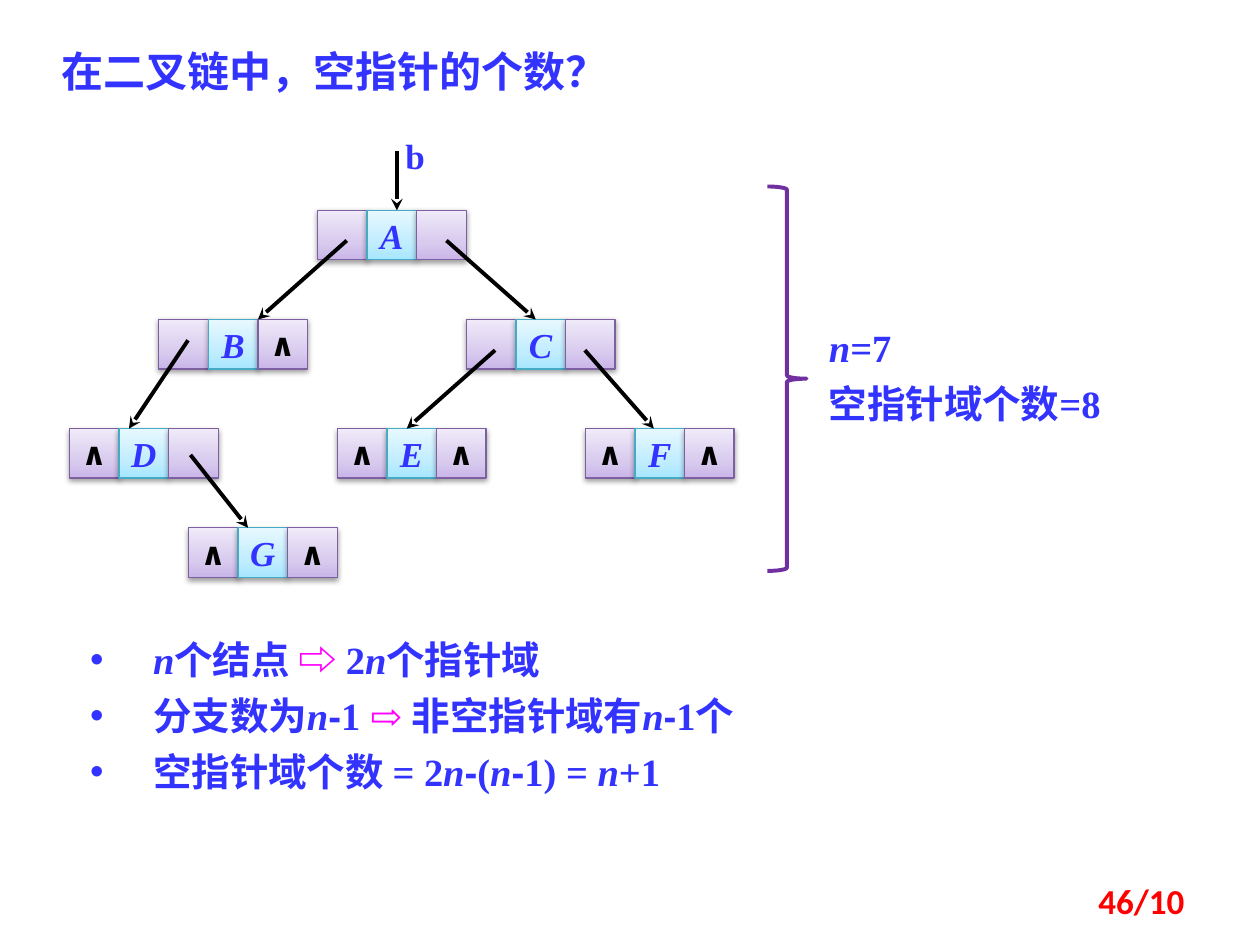
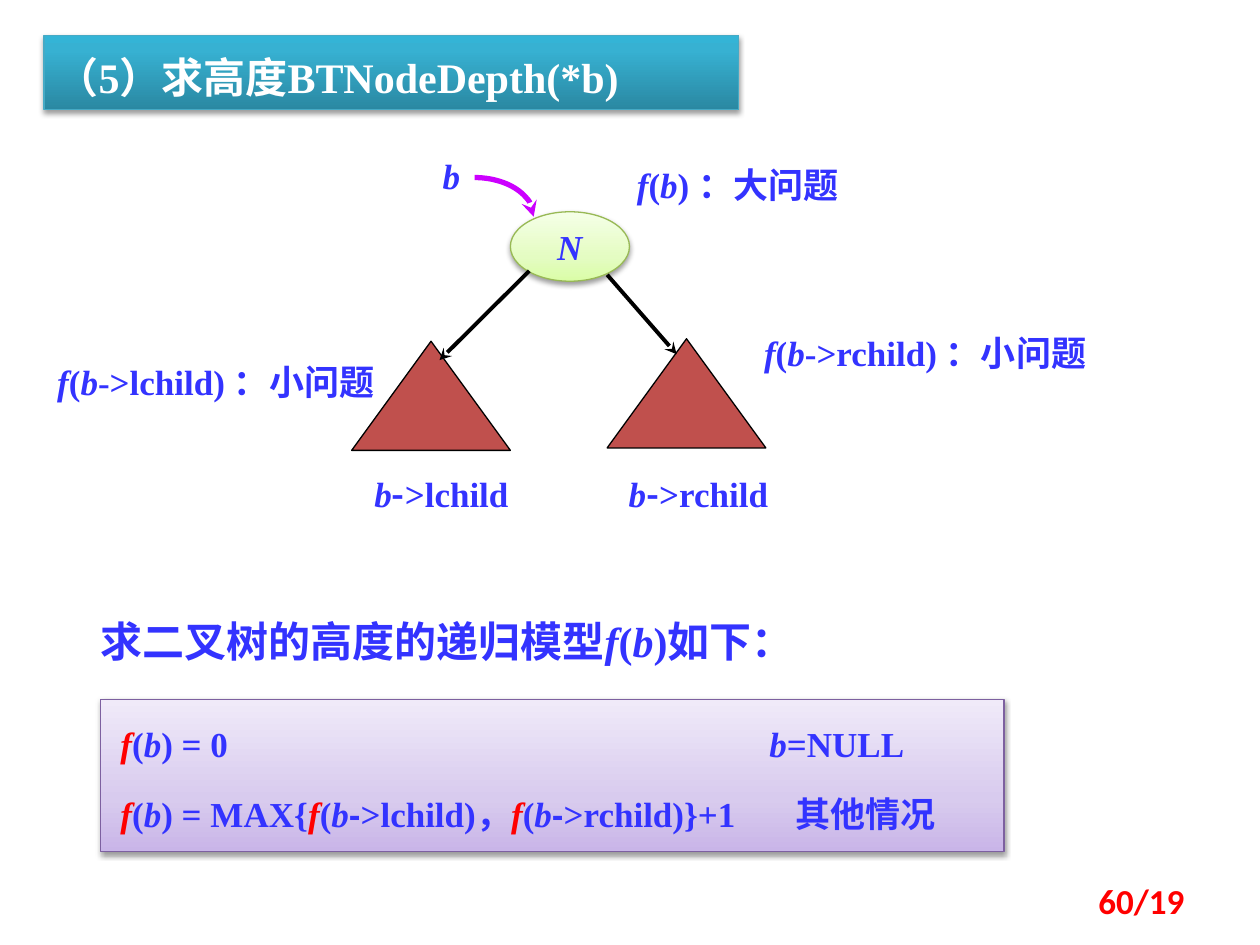
from lxml.etree import SubElement
from copy import deepcopy
from pptx import Presentation
from pptx.dml.color import RGBColor
from pptx.enum.shapes import MSO_CONNECTOR, MSO_SHAPE
from pptx.enum.text import MSO_ANCHOR, PP_ALIGN
from pptx.oxml.ns import qn
from pptx.util import Cm, Pt

RECT, OVAL, ARC = MSO_SHAPE.RECTANGLE, MSO_SHAPE.OVAL, MSO_SHAPE.ARC
BRACE, CONE = MSO_SHAPE.RIGHT_BRACE, MSO_SHAPE.ISOSCELES_TRIANGLE
LINE = MSO_CONNECTOR.STRAIGHT
LEFT, MID, RIGHT = PP_ALIGN.LEFT, PP_ALIGN.CENTER, PP_ALIGN.RIGHT
TOP, HALF = MSO_ANCHOR.TOP, MSO_ANCHOR.MIDDLE

BLUE = RGBColor(0x33, 0x33, 0xFF)
RED = RGBColor(0xFF, 0x00, 0x00)
PINK = RGBColor(0xFF, 0x00, 0xFF)
VIOLET = RGBColor(0xCC, 0x00, 0xFF)
PURPLE = RGBColor(0x70, 0x30, 0xA0)
BRICK = RGBColor(0xC0, 0x50, 0x4D)
BLACK = RGBColor(0x00, 0x00, 0x00)
WHITE = RGBColor(0xFF, 0xFF, 0xFF)

# Each look: line colour, then gradient stops from bottom to top
LILAC = (RGBColor(0x7D, 0x60, 0xA0),
         ((0, RGBColor(0xC9, 0xB5, 0xE8)), (0.35, RGBColor(0xD8, 0xCB, 0xEE)),
          (1, RGBColor(0xF0, 0xEA, 0xF9))))
SKY = (RGBColor(0x46, 0xAA, 0xC5),
       ((0, RGBColor(0xA7, 0xE6, 0xFF)), (0.35, RGBColor(0xC1, 0xED, 0xFF)),
        (1, RGBColor(0xE7, 0xF8, 0xFF))))
TEAL = (RGBColor(0x46, 0xAA, 0xC5),
        ((0, RGBColor(0x2A, 0x88, 0xA2)), (0.8, RGBColor(0x37, 0xB1, 0xD2)),
         (1, RGBColor(0x34, 0xB4, 0xD6))))
LIME = (RGBColor(0x98, 0xB9, 0x55),
        ((0, RGBColor(0xDA, 0xFD, 0xA7)), (0.35, RGBColor(0xE4, 0xFC, 0xC2)),
         (1, RGBColor(0xF5, 0xFF, 0xE7))))

HAN = "Noto Sans CJK SC"
BASE = {"name": "Times New Roman", "size": Pt(20), "bold": True, "color": BLUE}
# First letter of a piece of text -> what differs from the base font
MARKS = {"/": {"italic": True}, "!": {"italic": True, "color": RED},
         "@": {"color": PINK}, "~": {"name": "Arial"}, "^": {"name": HAN}}
CELL = {"word_wrap": False, "vertical_anchor": HALF}
PAD = dict.fromkeys(("margin_left", "margin_right"), Cm(0.4))
PAD |= dict.fromkeys(("margin_top", "margin_bottom"), Cm(0.3))


def draw(slide, form, at, line, stops=(), width=0.75):
    """Add a shape: no stops leave it empty, one colour fills it, three shade it."""
    shape = slide.shapes.add_shape(form, *map(Cm, at))
    shape.shadow.inherit = False
    shape.line.color.rgb = line
    shape.line.width = Pt(width)
    if not stops:
        shape.fill.background()
    elif len(stops) == 1:
        shape.fill.solid()
        shape.fill.fore_color.rgb = stops[0]
    else:
        shape.fill.gradient()
        shape.fill.gradient_angle = 90
        props = shape._element.spPr
        tints = props.find(".//" + qn("a:gsLst"))
        tints.append(deepcopy(tints[-1]))
        for stop, (pos, tone) in zip(shape.fill.gradient_stops, stops):
            stop.position = pos
            stop.color.rgb = tone
        shade = SubElement(props.find(qn("a:effectLst")), qn("a:outerShdw"),
                           blurRad="40000", dist="20000", dir="5400000", rotWithShape="0")
        black = SubElement(shade, qn("a:srgbClr"), val="000000")
        SubElement(black, qn("a:alpha"), val="38000")
    return shape


def write(shape, text, frame={}, para={}, **font):
    """Fill a shape with text; | parts the runs, and a first letter from MARKS styles one."""
    box = shape.text_frame
    for key, val in {"word_wrap": True, "vertical_anchor": TOP, **frame}.items():
        setattr(box, key, val)
    for row, line in enumerate(text.split("\n")):
        par = box.add_paragraph() if row else box.paragraphs[0]
        for key, val in {"alignment": MID, **para}.items():
            setattr(par, key, val)
        for piece in line.split("|"):
            run = par.add_run()
            run.text = piece[1:] if piece[0] in MARKS else piece
            form = {**BASE, **font, **MARKS.get(piece[0], {})}
            run.font.color.rgb = form.pop("color")
            for key, val in form.items():
                setattr(run.font, key, val)
            SubElement(run._r.rPr, qn("a:ea"), typeface=HAN)
    return box.paragraphs


deck = Presentation()
deck.slide_width, deck.slide_height = Cm(25.4), Cm(19.05)
blank = deck.slide_layouts[6]
links, depth = (deck.slides.add_slide(blank) for _ in range(2))

# Binary tree: each node is a left link, a name and a right link
for name, left, top, lt, rt in (
        ("A", 6.4, 4.24, "", ""), ("B", 3.2, 6.44, "", "∧"),
        ("D", 1.4, 8.64, "∧", ""), ("G", 3.8, 10.64, "∧", "∧"),
        ("C", 9.4, 6.44, "", ""), ("E", 6.8, 8.64, "∧", "∧"),
        ("F", 11.8, 8.64, "∧", "∧")):
    for col, text in enumerate((lt, name, rt)):
        mid = col == 1
        cell = draw(links, RECT, (left + col, top, 1, 1), *(SKY if mid else LILAC))
        if mid:
            write(cell, text, CELL, italic=True)
        elif text:
            write(cell, text, CELL, name="Calibri", size=Pt(18), color=BLACK)
draw(links, BRACE, (15.47, 3.76, 0.79, 7.75), PURPLE, width=2.25)

# Height of a tree: root, two subtrees and the recursive model
head = draw(depth, RECT, (0.89, 0.71, 14, 1.5), *TEAL)
write(head, "（5）求高度BTNodeDepth(*b)", {}, {"alignment": LEFT, "line_spacing": 1.2},
      size=Pt(24), color=WHITE)
model = draw(depth, RECT, (2.03, 14.1, 18.21, 3.07), *LILAC)
rows = write(model, "!f|(|/b|) = 0\t|/b|=NULL\n"
             "!f|(|/b|) = MAX{|!f|(|/b|~-|>lchild)，|!f|(|/b|~-|>rchild)}+1\t其他情况",
             PAD, {"alignment": LEFT, "line_spacing": 1.2})
rows[1].space_before = Pt(11)
for par, stop in zip(rows, (13.08, 13.6)):
    tabs = SubElement(par._p.get_or_add_pPr(), qn("a:tabLst"))
    SubElement(tabs, qn("a:tab"), pos=str(Cm(stop)), algn="l")
root = draw(depth, OVAL, (10.29, 4.27, 2.4, 1.4), *LIME)
write(root, "N", CELL, italic=True)
for left, top in ((7.09, 6.88), (12.24, 6.83)):
    draw(depth, CONE, (left, top, 3.2, 2.2), BLACK, (BRICK,))

# Free text
PLAIN = {"alignment": LEFT}
LOOSE = {"alignment": LEFT, "line_spacing": Pt(32)}
MODEL = {"alignment": LEFT, "line_spacing": 1.2}
PAGE = {"name": "Calibri", "color": RED}
FOOT = (18.21, 17.65, 5.92, 1.02)
POINTS = ("/n|个结点 |@⇨ |2|/n|个指针域\n"
          "分支数为|/n|~-|1 |@⇨| 非空指针域有|/n|~-|1个\n"
          "空指针域个数 = 2|/n|~-|(|/n|~-|1) = |/n|+1")
for slide, at, text, frame, para, font in (
        (links, (7.47, 2.59, 1.8, 1.09), "b", {}, {}, {}),
        (links, (0.99, 0.79, 12.3, 1.27), "在二叉链中，空指针的个数？", {}, PLAIN,
         {"size": Pt(24)}),
        (links, (1.57, 12.5, 15.47, 3.68), POINTS, {}, LOOSE, {"size": Pt(22)}),
        (links, (16.46, 6.2, 7.54, 2.54), "/n|=7\n空指针域个数=8", {}, LOOSE,
         {"size": Pt(22)}),
        (links, FOOT, "46/10", {"vertical_anchor": HALF}, {"alignment": RIGHT}, PAGE),
        (depth, (1.63, 11.91, 18.8, 1.83), "求二叉树的高度的递归模型|/f|(|/b|)如下：", PAD,
         MODEL, {"size": Pt(24)}),
        (depth, (8.1, 3, 2, 1.12), "/b", {}, {}, {}),
        (depth, (6.5, 9.4, 4.8, 1.12), "/b|^-|>lchild", {}, {}, {}),
        (depth, (11.68, 9.4, 4.8, 1.12), "/b|^-|>rchild", {}, {}, {}),
        (depth, (12.29, 3.17, 5.16, 1.12), "/f|(|/b|) ：大问题", {}, {}, {}),
        (depth, (14.88, 6.55, 7.54, 1.12), "/f|(|/b|->rchild) ：小问题", {}, {}, {}),
        (depth, (0.58, 7.14, 7.54, 1.12), "/f|(|/b|->lchild) ：小问题", {}, {}, {}),
        (depth, FOOT, "60/19", {"vertical_anchor": HALF}, {"alignment": RIGHT}, PAGE)):
    pars = write(slide.shapes.add_textbox(*map(Cm, at)), text, frame, para, **font)
    if text == POINTS:
        for par in pars:
            props = par._p.get_or_add_pPr()
            props.set("marL", str(Cm(1.27)))
            props.set("indent", str(-Cm(1.27)))
            SubElement(props, qn("a:buFont"), typeface="Arial")
            SubElement(props, qn("a:buChar"), char="•")

# Arrows
arrows = [draw(depth, ARC, (8.38, 3.58, 2.38, 1.58), VIOLET, width=3)]
for slide, ends in (
        (links, (6.99, 4.85, 5.2, 6.44)), (links, (3.79, 6.86, 2.6, 8.64)),
        (links, (9, 4.85, 10.8, 6.44)), (links, (3.84, 9.17, 5, 10.64)),
        (links, (9.98, 7.06, 8.2, 8.64)), (links, (11.79, 7.06, 13.18, 8.64)),
        (links, (8, 3.05, 8, 4.24)),
        (depth, (10.67, 5.46, 8.86, 7.26)), (depth, (12.24, 5.54, 13.64, 7.14))):
    arrow = slide.shapes.add_connector(LINE, *map(Cm, ends))
    arrow.line.color.rgb = BLACK
    arrow.line.width = Pt(2.25)
    SubElement(arrow._element.spPr, qn("a:effectLst"))
    arrows.append(arrow)
for arrow in arrows:
    SubElement(arrow._element.spPr.find(qn("a:ln")), qn("a:tailEnd"), type="stealth")

deck.save("out.pptx")
